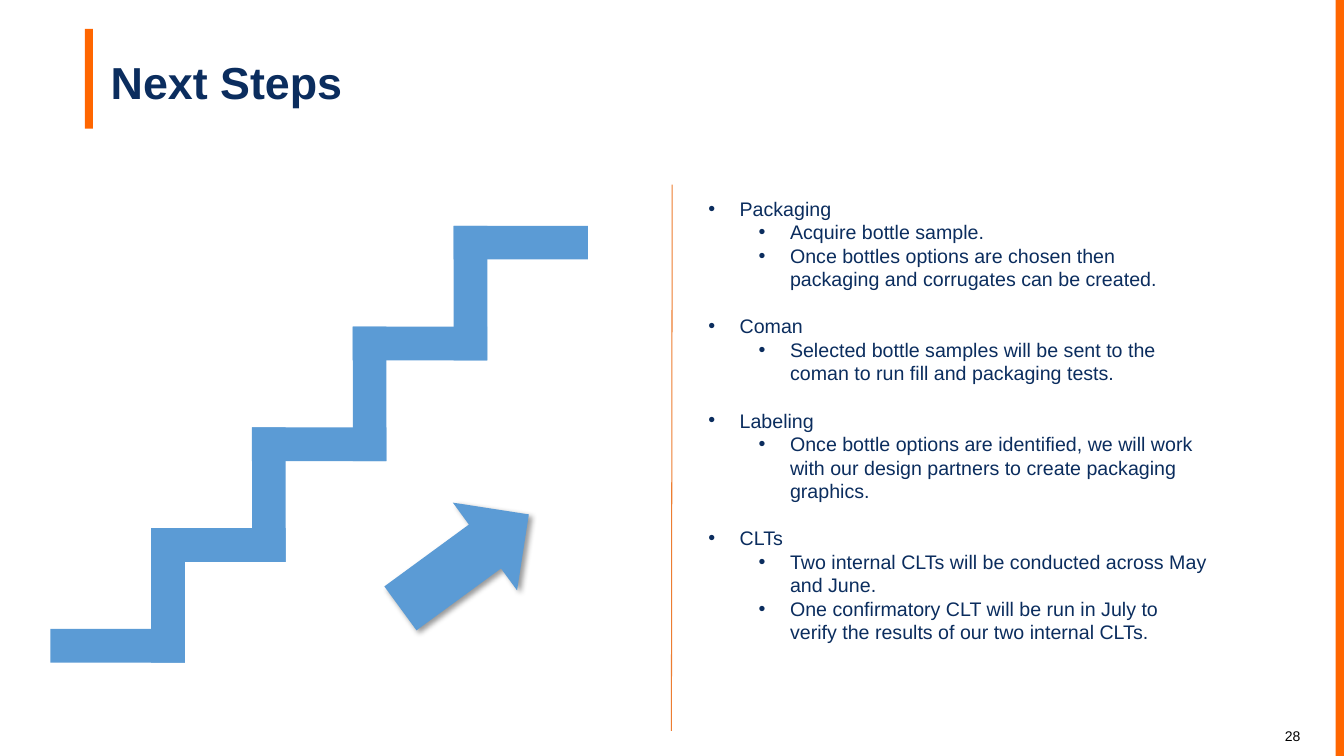
import lxml.etree
import pptx
import pptx.dml.color
import pptx.enum.shapes
import pptx.enum.text
import pptx.oxml
import pptx.oxml.ns
import pptx.util

Cm = pptx.util.Cm
Pt = pptx.util.Pt
Shape = pptx.enum.shapes.MSO_SHAPE
Anchor = pptx.enum.text.MSO_ANCHOR

NAVY = pptx.dml.color.RGBColor(0x0B, 0x2D, 0x5E)
ORANGE = pptx.dml.color.RGBColor(0xFF, 0x66, 0x00)
RUST = pptx.dml.color.RGBColor(0xED, 0x7D, 0x31)
BLUE = pptx.dml.color.RGBColor(0x5B, 0x9B, 0xD5)
BLACK = pptx.dml.color.RGBColor(0, 0, 0)

TOPICS = {
    "Packaging": [
        "Acquire bottle sample.",
        "Once bottles options are chosen then packaging and corrugates can be created.",
    ],
    "Coman": [
        "Selected bottle samples will be sent to the coman to run fill and packaging tests.",
    ],
    "Labeling": [
        "Once bottle options are identified, we will work with our design partners "
        "to create packaging graphics.",
    ],
    "CLTs": [
        "Two internal CLTs will be conducted across May and June.",
        "One confirmatory CLT will be run in July to verify the results of our two internal CLTs.",
    ],
}
STEP = 1.27
STEP_LENGTH = 3.39
STEP_THICKNESS = 0.85
LINE_HEIGHT = Pt(16.8)


class SlideBuilder:
    """Draws styled elements on the current slide, with lengths in centimetres."""

    def __init__(self, slide, font_name):
        self.slide = slide
        self.font_name = font_name

    def format_font(self, font, color, **values):
        for name, value in {"name": self.font_name, **values}.items():
            setattr(font, name, value)
        font.color.rgb = color

    def block(self, left, top, width, height, color, kind=Shape.RECTANGLE, rotation=0):
        shape = self.slide.shapes.add_shape(kind, Cm(left), Cm(top), Cm(width), Cm(height))
        shape.shadow.inherit = False
        shape.rotation = rotation
        shape.fill.solid()
        shape.fill.fore_color.rgb = color
        shape.line.fill.background()
        return shape

    def cast_shadow(self, shape):
        effects = shape._element.spPr.find(pptx.oxml.ns.qn("a:effectLst"))
        effects.append(pptx.oxml.parse_xml(
            f'<a:outerShdw {pptx.oxml.ns.nsdecls("a")} blurRad="50800" dist="38100" '
            'dir="2700000" algn="tl" rotWithShape="0"><a:srgbClr val="000000">'
            '<a:alpha val="40000"/></a:srgbClr></a:outerShdw>'))

    def divider(self, start, end, color):
        line = self.slide.shapes.add_connector(
            pptx.enum.shapes.MSO_CONNECTOR.STRAIGHT, *map(Cm, start + end))
        line.line.color.rgb = color
        line.line.width = Pt(0.75)
        lxml.etree.SubElement(line._element.spPr, pptx.oxml.ns.qn("a:effectLst"))

    def text_box(self, left, top, width, height, **values):
        box = self.slide.shapes.add_textbox(Cm(left), Cm(top), Cm(width), Cm(height))
        for name, value in {"word_wrap": True, **values}.items():
            setattr(box.text_frame, name, value)
        return box.text_frame

    def label(self, text, place, color, frame_values, **font_values):
        para = self.text_box(*place, **frame_values).paragraphs[0]
        para.text = text
        self.format_font(para.font, color, **font_values)

    def bullet(self, para, text, level, space_before):
        para.text = text
        properties = para._p.get_or_add_pPr()
        properties.set("marL", str(Cm(0.81 + STEP * level)))
        properties.set("indent", str(Cm(-0.79)))
        for tag, name, value in (("buFont", "typeface", self.font_name), ("buChar", "char", "•")):
            lxml.etree.SubElement(properties, pptx.oxml.ns.qn(f"a:{tag}")).set(name, value)
        values = {"level": level, "line_spacing": LINE_HEIGHT, "space_before": space_before}
        for name, value in values.items():
            setattr(para, name, value)
        self.format_font(para.font, NAVY, size=Pt(14))

    def topic_list(self, topics, place):
        frame = self.text_box(*place)
        for number, (topic, details) in enumerate(topics.items()):
            para = frame.add_paragraph() if number else frame.paragraphs[0]
            self.bullet(para, topic, 0, LINE_HEIGHT if number else Pt(0))
            for detail in details:
                self.bullet(frame.add_paragraph(), detail, 1, Pt(0))

    def staircase(self, left, top, count):
        for number in range(count):
            self.block(left + STEP * number, top - STEP * number, STEP_LENGTH,
                       STEP_THICKNESS, BLUE, rotation=90 * (number % 2))


def main():
    deck = pptx.Presentation()
    deck.slide_width, deck.slide_height = Cm(33.87), Cm(19.05)
    builder = SlideBuilder(deck.slides.add_slide(deck.slide_layouts[6]), "Arial")
    builder.block(2.14, 0.73, 0.2, 2.51, ORANGE)
    builder.block(33.66, 0, 0.21, 19.05, ORANGE)
    margins = {f"margin_{side}": Cm(0.25) for side in ("left", "top", "right", "bottom")}
    builder.label("Next Steps", (2.54, 0.85, 28.78, 2.39), NAVY,
                  {"vertical_anchor": Anchor.MIDDLE, **margins}, size=Pt(32), bold=True)
    builder.label("28", (32.13, 18.2, 1.45, 0.74), BLACK, {}, size=Pt(10))
    builder.topic_list(TOPICS, (17.58, 4.83, 13.13, 12.22))
    builder.divider((16.94, 4.65), (16.92, 18.42), RUST)
    builder.staircase(1.27, 15.85, 9)
    arrow = builder.block(10.34, 12.14, 2.74, 4.01, BLUE, Shape.DOWN_ARROW, 233.8)
    builder.cast_shadow(arrow)
    deck.save("out.pptx")


if __name__ == "__main__":
    main()
